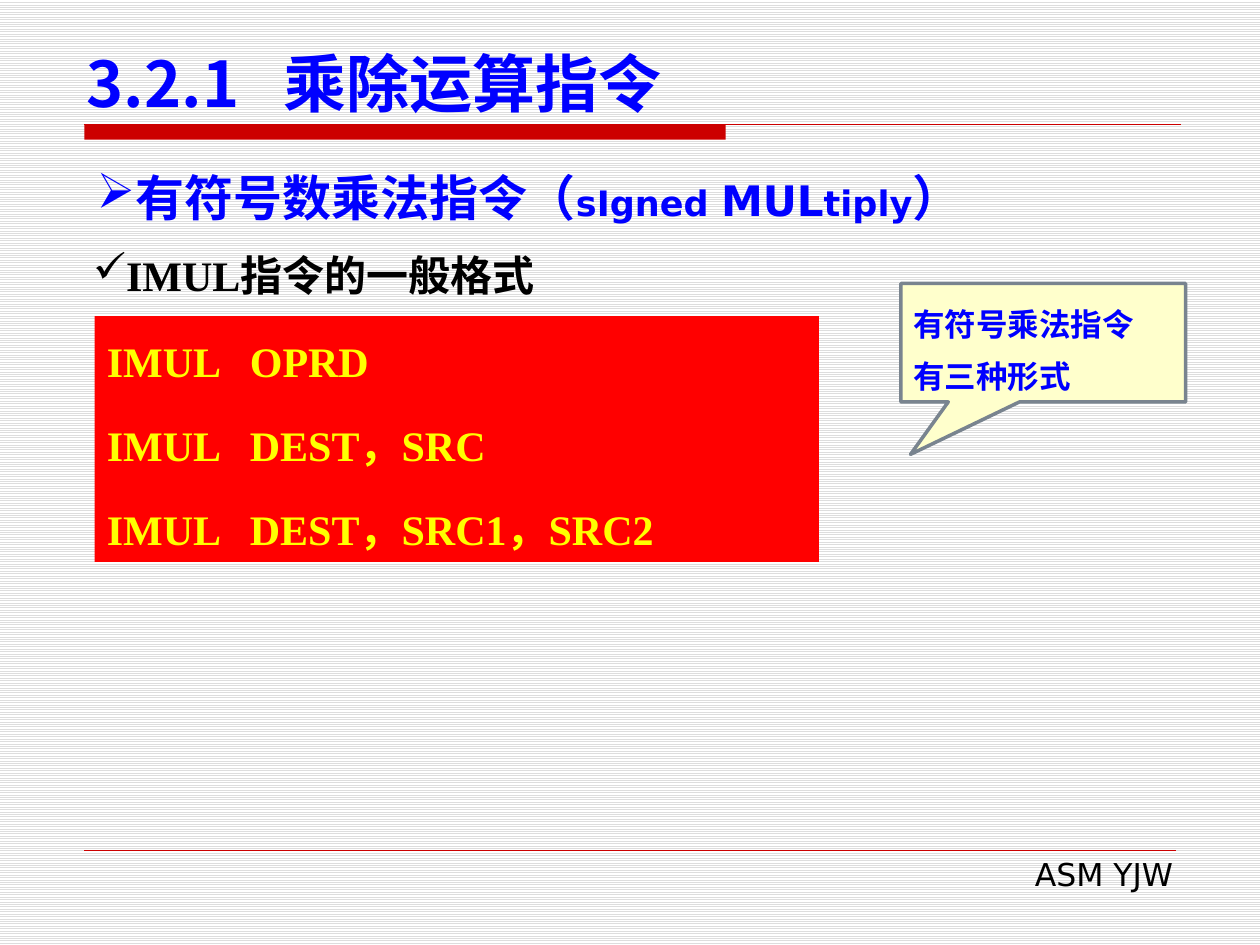
from dataclasses import dataclass
from typing import Optional

import lxml.etree
import pptx
import pptx.dml.color
import pptx.enum.dml
import pptx.enum.shapes
import pptx.enum.text
import pptx.oxml.ns
import pptx.util

Pt = pptx.util.Pt
RGB = pptx.dml.color.RGBColor
Shape = pptx.enum.shapes.MSO_SHAPE
Align = pptx.enum.text.PP_ALIGN
Anchor = pptx.enum.text.MSO_ANCHOR
qn = pptx.oxml.ns.qn

BLUE = RGB(0x00, 0x00, 0xFF)
BLACK = RGB(0x00, 0x00, 0x00)
WHITE = RGB(0xFF, 0xFF, 0xFF)
GREY = RGB(0xDD, 0xDD, 0xDD)
SLATE = RGB(0x79, 0x84, 0x8F)
CRIMSON = RGB(0xCC, 0x00, 0x00)
RED = RGB(0xFF, 0x00, 0x00)
YELLOW = RGB(0xFF, 0xFF, 0x00)
CREAM = RGB(0xFF, 0xFF, 0xCC)

SANS = "DejaVu Sans"
SERIF = "Times New Roman"
HAN = "Noto Sans CJK SC"


@dataclass
class Run:
    text: str
    size: float


@dataclass
class Style:
    font: str
    color: RGB
    bold: bool = True
    align: Align = Align.LEFT
    anchor: Anchor = Anchor.TOP
    pitch: Optional[float] = None
    before: float = 0
    bullet: str = ""
    tab: float = 0


@dataclass
class Block:
    left: float
    top: float
    width: float
    height: float
    lines: list[list[Run]]
    style: Style
    kind: Optional[Shape] = None
    fill: Optional[RGB] = None
    edge: Optional[RGB] = None
    tip: tuple[float, ...] = ()


@dataclass
class Rule:
    left: float
    right: float
    top: float
    weight: float


TITLE = Style(HAN, BLUE, anchor=Anchor.BOTTOM, tab=112.6)
TOPIC = Style(SANS, BLUE, align=Align.JUSTIFY, bullet="➢")
POINT = Style(SERIF, BLACK, bullet="✓")
CODE = Style(SERIF, YELLOW, pitch=36, before=12, tab=81.7)
NOTE = Style(SANS, BLUE, anchor=Anchor.MIDDLE, pitch=30)
FOOT = Style(SANS, BLACK, bold=False, align=Align.RIGHT)

FORMS = ["IMUL\tOPRD", "IMUL\tDEST，SRC", "IMUL\tDEST，SRC1，SRC2"]
HINTS = ["有符号乘法指令", "有三种形式"]

BLOCKS = [
    Block(275, 485.3, 402.5, 28.8, [[Run("ASM YJW", 18)]], FOOT),
    Block(42.5, 20.9, 652.3, 51.1, [[Run("3.2.1\t乘除运算指令", 36)]], TITLE),
    Block(46.1, 139, 527.8, 36, [[Run("IMUL指令的一般格式", 24)]], POINT),
    Block(54, 180.7, 414, 140.4, [[Run(form, 24)] for form in FORMS], CODE,
          Shape.RECTANGLE, RED),
    Block(48.2, 92.2, 623.5, 41, [[
        Run("有符号数乘法指令（", 28), Run("sIgned ", 20), Run("MUL", 24),
        Run("tiply", 20), Run("）", 28)]], TOPIC),
    Block(514.8, 162, 162.7, 67.7, [[Run(hint, 18)] for hint in HINTS], NOTE,
          Shape.RECTANGULAR_CALLOUT, CREAM, SLATE, (-0.466, 0.943)),
]
RULES = [Rule(48.2, 674.6, 71.3, 0.75), Rule(48.2, 671.8, 486, 0.25)]


def add_run(para, run: Run, style: Style) -> None:
    part = para.add_run()
    part.text = run.text
    font = part.font
    font.name = style.font
    font.size = Pt(run.size)
    font.bold = style.bold
    font.color.rgb = style.color
    east = lxml.etree.Element(qn("a:ea"), typeface=HAN)
    font._element.find(qn("a:latin")).addnext(east)


def set_para(para, style: Style) -> None:
    para.alignment = style.align
    para.space_before = Pt(style.before)
    if style.pitch:
        para.line_spacing = Pt(style.pitch)
    props = para._p.get_or_add_pPr()
    if style.bullet:
        props.set("marL", "0")
        props.set("indent", "0")
        lxml.etree.SubElement(props, qn("a:buChar"), char=style.bullet)
    if style.tab:
        tabs = lxml.etree.SubElement(props, qn("a:tabLst"))
        lxml.etree.SubElement(tabs, qn("a:tab"), pos=str(Pt(style.tab)), algn="l")


def add_shape(slide, kind: Shape, area: tuple[float, ...], fill: RGB,
              edge: Optional[RGB] = None):
    shape = slide.shapes.add_shape(kind, *map(Pt, area))
    shape.shadow.inherit = False
    shape.fill.solid()
    shape.fill.fore_color.rgb = fill
    if edge is None:
        shape.line.fill.background()
    else:
        shape.line.color.rgb = edge
        shape.line.width = Pt(2)
    return shape


def add_block(slide, block: Block) -> None:
    area = (block.left, block.top, block.width, block.height)
    if block.kind is None:
        shape = slide.shapes.add_textbox(*map(Pt, area))
    else:
        shape = add_shape(slide, block.kind, area, block.fill, block.edge)
    for index, value in enumerate(block.tip):
        shape.adjustments[index] = value
    frame = shape.text_frame
    frame.word_wrap = True
    frame.vertical_anchor = block.style.anchor
    for index, line in enumerate(block.lines):
        para = frame.add_paragraph() if index else frame.paragraphs[0]
        set_para(para, block.style)
        for run in line:
            add_run(para, run, block.style)


def add_rule(slide, rule: Rule) -> None:
    ends = map(Pt, (rule.left, rule.top, rule.right, rule.top))
    line = slide.shapes.add_connector(
        pptx.enum.shapes.MSO_CONNECTOR.STRAIGHT, *ends)
    line.line.color.rgb = CRIMSON
    line.line.width = Pt(rule.weight)
    lxml.etree.SubElement(line._element.spPr, qn("a:effectLst"))


def main() -> None:
    deck = pptx.Presentation()
    deck.slide_width, deck.slide_height = Pt(720), Pt(540)
    slide = deck.slides.add_slide(deck.slide_layouts[6])
    back = slide.background.fill
    back.patterned()
    back.pattern = pptx.enum.dml.MSO_PATTERN.LIGHT_HORIZONTAL
    back.fore_color.rgb = GREY
    back.back_color.rgb = WHITE
    add_shape(slide, Shape.RECTANGLE, (48.2, 71.3, 366.5, 8.6), CRIMSON)
    for rule in RULES:
        add_rule(slide, rule)
    for block in BLOCKS:
        add_block(slide, block)
    deck.save("out.pptx")


if __name__ == "__main__":
    main()
